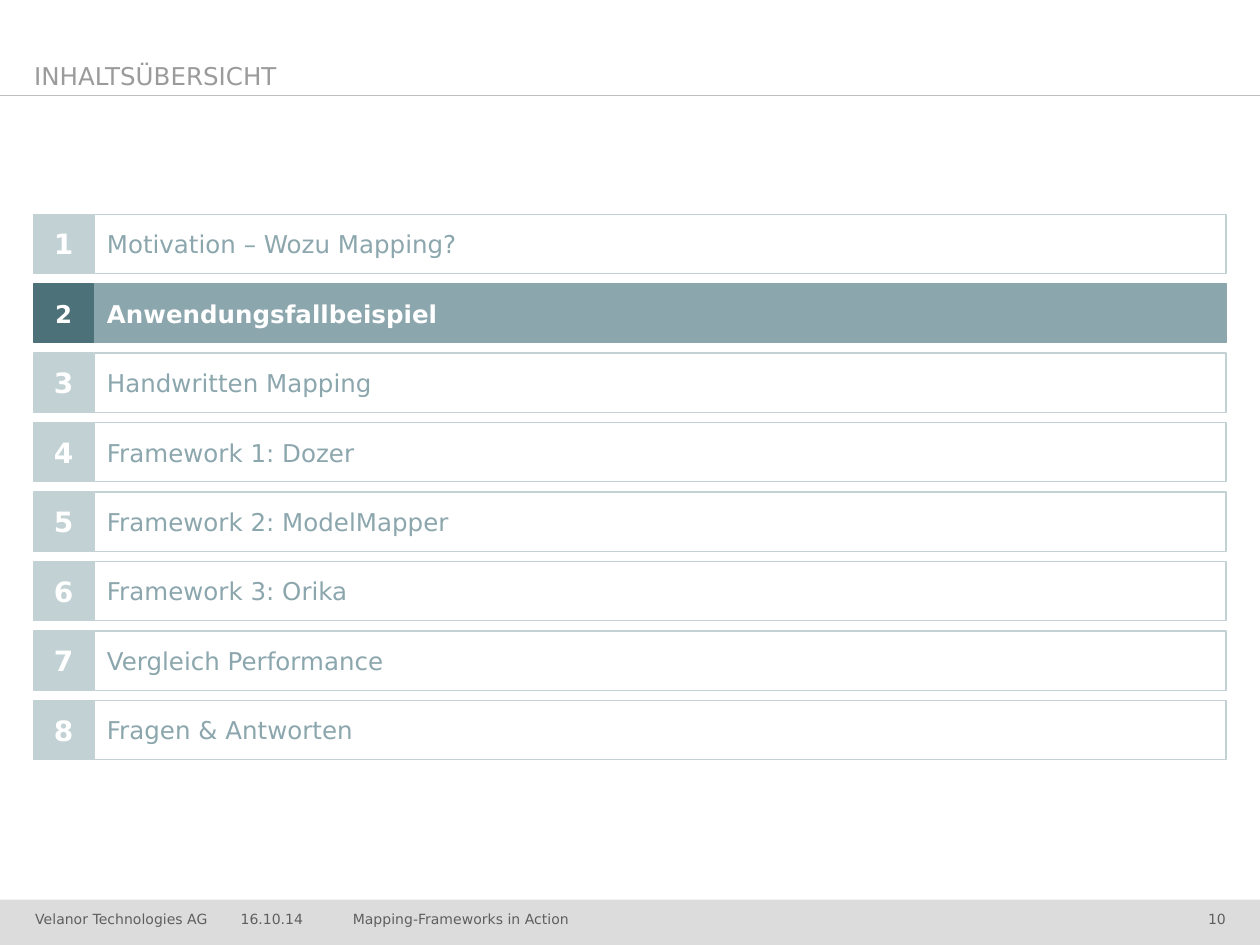
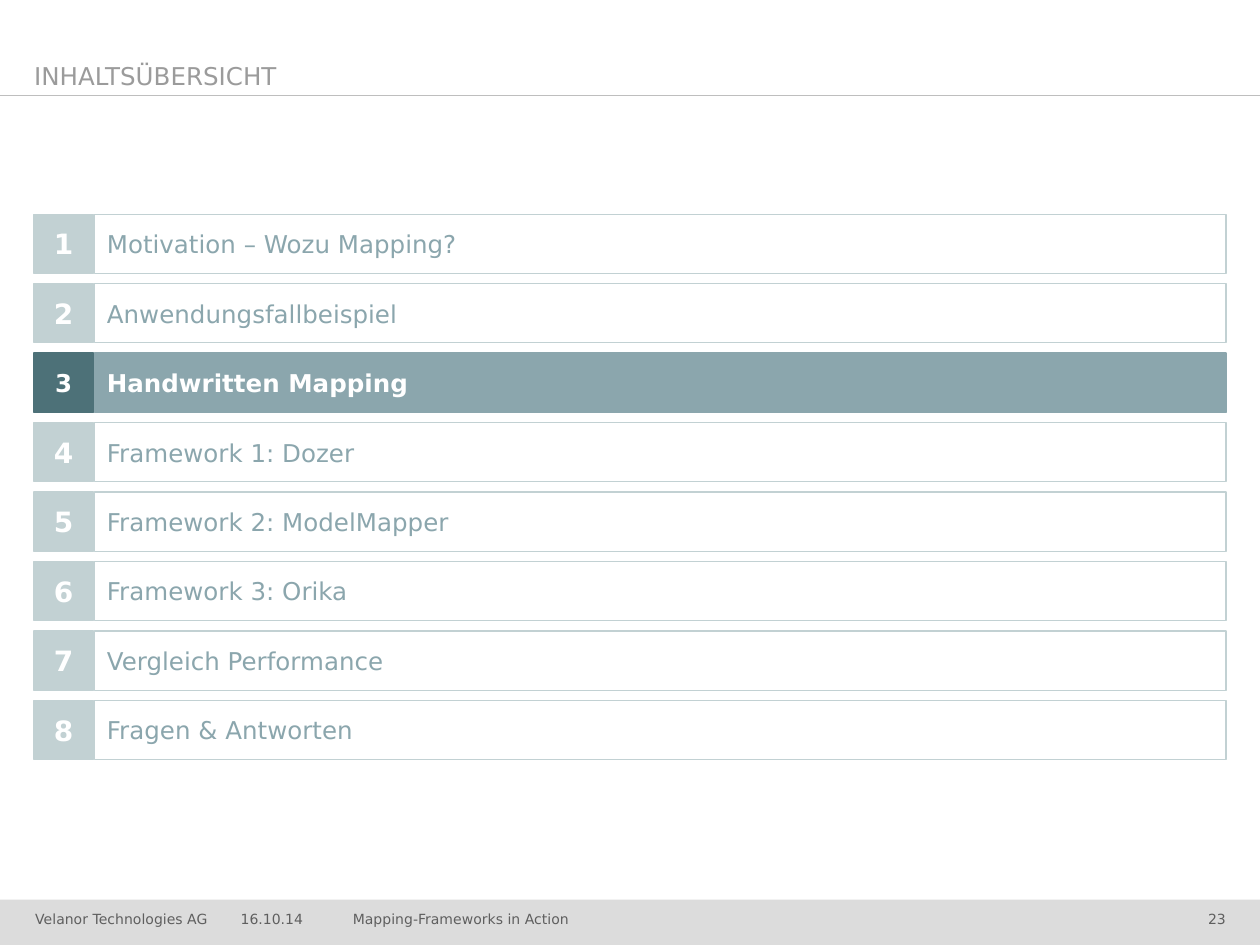
from pptx import Presentation, util as u
from pptx.dml.color import RGBColor
from pptx.enum import shapes, text
from pptx.oxml.ns import qn
from lxml import etree

Inches = u.Inches
FONT = "DejaVu Sans"
COLORS = {
    "white": "FFFFFF",
    "title": "9B9B9B",
    "rule": "BEBEBE",
    "band": "DCDCDC",
    "footer": "5F5F5F",
    "pale": "C2D1D3",
    "mid": "8BA6AD",
    "dark": "4D7178",
}
TOPICS = [
    "Motivation – Wozu Mapping?",
    "Anwendungsfallbeispiel",
    "Handwritten Mapping",
    "Framework 1: Dozer",
    "Framework 2: ModelMapper",
    "Framework 3: Orika",
    "Vergleich Performance",
    "Fragen & Antworten",
]
LEFT, RIGHT = 0.27, 9.73
LEFT_ALIGN, CENTER, RIGHT_ALIGN = (
    text.PP_ALIGN.LEFT, text.PP_ALIGN.CENTER, text.PP_ALIGN.RIGHT)
MIDDLE, BOTTOM = text.MSO_ANCHOR.MIDDLE, text.MSO_ANCHOR.BOTTOM


def rgb(name):
    return RGBColor.from_string(COLORS[name])


def write(shape, words, size, color, bold=False, align=LEFT_ALIGN,
          anchor=BOTTOM, insets=(0, 0, 0, 0)):
    """Fill a shape with one formatted paragraph."""
    frame = shape.text_frame
    frame.text = words
    frame.word_wrap = True
    frame.auto_size = text.MSO_AUTO_SIZE.NONE
    frame.vertical_anchor = anchor
    (frame.margin_left, frame.margin_top,
     frame.margin_right, frame.margin_bottom) = map(Inches, insets)
    para = frame.paragraphs[0]
    para.alignment = align
    font = para.runs[0].font
    font.name, font.size, font.bold = FONT, u.Pt(size), bold
    font.color.rgb = rgb(color)


def add_box(page, box, fill, line=None):
    """Plain rectangle, with an outline if a line colour is given."""
    shape = page.shapes.add_shape(shapes.MSO_SHAPE.RECTANGLE, *map(Inches, box))
    shape.shadow.inherit = False
    shape.fill.solid()
    shape.fill.fore_color.rgb = rgb(fill)
    if line:
        shape.line.color.rgb = rgb(line)
        shape.line.width = u.Pt(0.75)
    else:
        shape.line.fill.background()
    return shape


def add_header(page, box, words):
    """Title with a rule across the page at its lower edge."""
    left, top, width, height = box
    bottom = Inches(top + height)
    rule = page.shapes.add_connector(
        shapes.MSO_CONNECTOR.STRAIGHT, deck.slide_width, bottom, 0, bottom)
    rule.line.color.rgb = rgb("rule")
    rule.line.width = u.Pt(0.75)
    etree.SubElement(rule.element.spPr, qn("a:effectLst"))

    title = page.shapes.title
    title.left, title.top, title.width, title.height = map(Inches, box)
    write(title, words, 14, "title", insets=(0, 0, 0, 0.04))


def add_footer(page, box, number):
    """Grey band with company, date, talk and page number."""
    left, top, width, height = box
    add_box(page, box, "band")
    entries = [
        ("Velanor Technologies AG", 0.28, 1.5, LEFT_ALIGN),
        ("16.10.14", 1.91, 0.8, LEFT_ALIGN),
        ("Mapping-Frameworks in Action", 2.8, 6.14, LEFT_ALIGN),
        (str(number), 9.02, 0.71, RIGHT_ALIGN),
    ]
    for words, offset, span, align in entries:
        label = page.shapes.add_textbox(
            *map(Inches, (left + offset, top, span, height)))
        write(label, words, 8, "footer", align=align, insets=(0, 0, 0, 0.14))


def add_topic(page, box, number, words, active):
    """One agenda row: square number tile and topic bar."""
    left, top, width, height = box
    tile_color = "dark" if active else "pale"
    tile = add_box(page, (left, top, height, height), tile_color, tile_color)
    write(tile, str(number), 14 if active else 16, "white", True, CENTER,
          MIDDLE, (0.1, 0.05, 0.1, 0.05))

    bar_left = left + height + 0.01
    bar = add_box(page, (bar_left, top, left + width - bar_left, height),
                  "mid" if active else "white", "mid" if active else "pale")
    write(bar, words, 14, "white" if active else "mid", active,
          anchor=MIDDLE, insets=(0.1, 0.05, 0.04, 0.05))


def add_agenda(page, box, current):
    """Evenly spaced topic rows, with the current one highlighted."""
    left, top, width, height = box
    row_height = 0.47
    pitch = (height - row_height) / (len(TOPICS) - 1)
    for index, words in enumerate(TOPICS):
        add_topic(page, (left, top + index * pitch, width, row_height),
                  index + 1, words, index + 1 == current)


def add_agenda_slide(number, current):
    page = deck.slides.add_slide(deck.slide_layouts[5])
    page.background.fill.solid()
    page.background.fill.fore_color.rgb = rgb("white")
    add_footer(page, (0, 7.14, 10, 0.36), number)
    add_header(page, (LEFT, 0.29, 7.48, 0.47), "INHALTSÜBERSICHT")
    add_agenda(page, (LEFT, 1.7, RIGHT - LEFT, 4.33), current)


deck = Presentation()
deck.slide_width, deck.slide_height = Inches(10), Inches(7.5)
add_agenda_slide(number=10, current=2)
add_agenda_slide(number=23, current=3)
deck.save("out.pptx")
